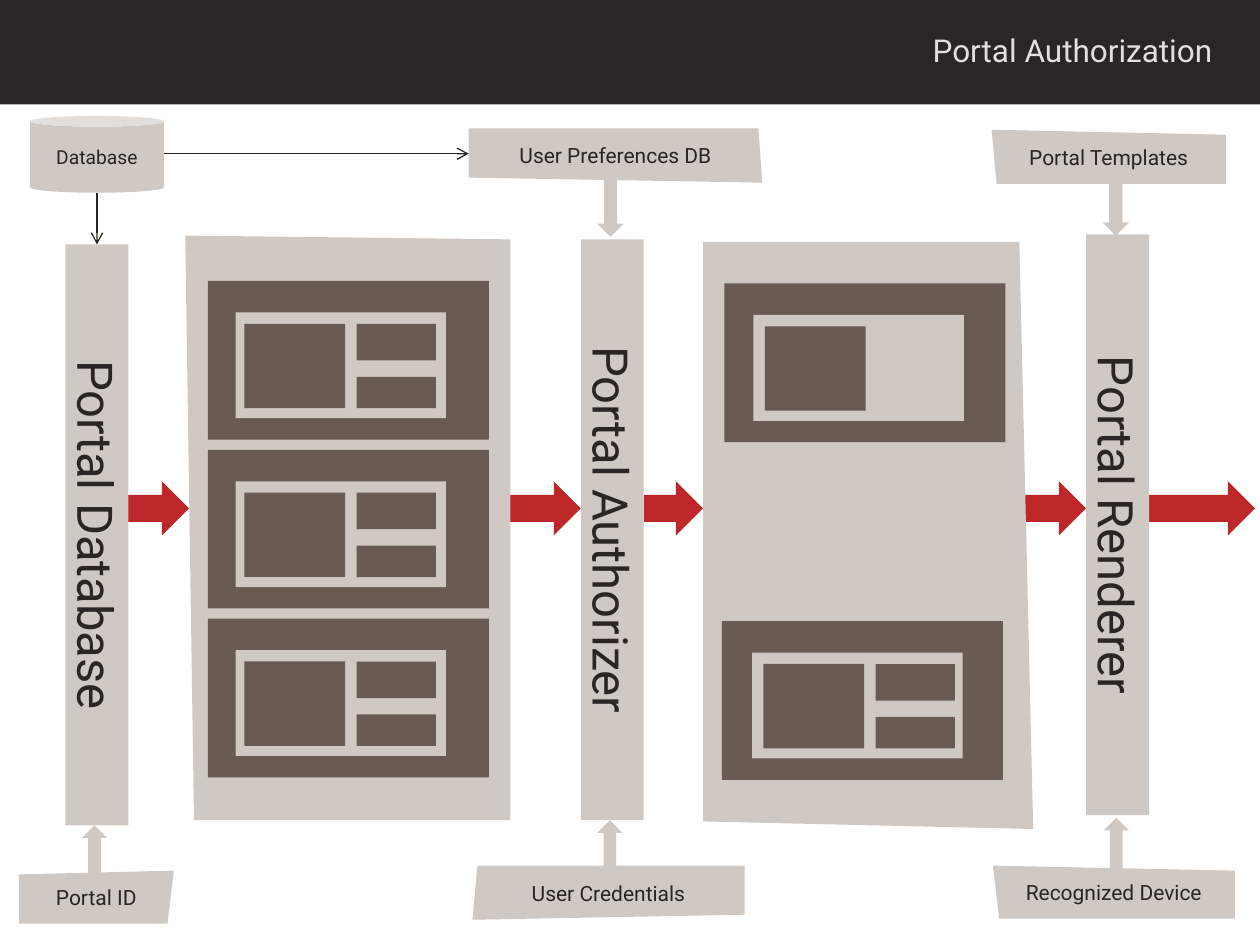
"""Build the Portal Authorization flow diagram slide."""
from lxml.etree import SubElement
from pptx import Presentation
from pptx.dml.color import RGBColor
from pptx.enum.shapes import MSO_CONNECTOR, MSO_SHAPE
from pptx.enum.text import MSO_ANCHOR, PP_ALIGN
from pptx.oxml.ns import qn
from pptx.util import Cm, Pt

FONT = "Roboto"
DARK, STONE, BROWN, RED = "2B2623", "CFC8C3", "675B53", "BD2727"
LINE, TITLE = "29251E", "E5DEDC"

STAGES = [
    ("Portal Authorizer", 4.61, 1.9),
    ("Portal Renderer", 8.62, 1.86),
    ("Portal Database", 0.52, 1.94),
]
STAGE_SIZE = (0.5, 4.61)
FLOW_ARROWS = [(0.97, 0.53), (9.09, 0.87), (4.03, 0.58), (5.11, 0.47), (8.05, 0.57)]
FLOW_TOP, FLOW_HEIGHT = 3.82, 0.43
INPUTS = [
    ("Portal ID", 0.14, [(0.15, 6.94), (1.38, 6.91), (1.33, 7.33), (0.15, 7.33)]),
    ("Recognized Device", 0, [(7.88, 6.87), (9.8, 6.91), (9.8, 7.29), (7.93, 7.29)]),
    ("Portal Templates", 0, [(7.87, 1.03), (9.73, 1.07), (9.73, 1.46), (7.91, 1.46)]),
    ("User Credentials", 0.14, [(3.79, 6.87), (5.91, 6.87), (5.91, 7.26), (3.75, 7.3)]),
    ("User Preferences DB", 0.14, [(3.72, 1.02), (6.02, 1.02), (6.05, 1.45), (3.72, 1.41)]),
]
UP_ARROWS = [(0.65, 6.55), (8.76, 6.49), (4.74, 6.51)]
DOWN_ARROWS = [(8.75, 1.42), (4.74, 1.43)]
DATABASE_LINKS = [((1.3, 1.22), (3.72, 1.22)), ((0.77, 1.53), (0.77, 1.94))]
AUTHORIZED_PANEL = [(5.58, 1.92), (8.09, 1.92), (8.2, 6.58), (5.58, 6.52)]
DATABASE_PANEL = [(1.47, 1.87), (4.05, 1.9), (4.05, 6.51), (1.54, 6.51)]
SIDE_TILES = [(0.89, 0, 0.63, 0.29), (0.89, 0.42, 0.63, 0.25)]
MAIN_TILE = (0, 0, 0.8, 0.67)


def length(inches):
    return Cm(inches * 2.54)


def color(value):
    return RGBColor.from_string(value)


def paint(shape, fill):
    shape.shadow.inherit = False
    shape.fill.solid()
    shape.fill.fore_color.rgb = color(fill)
    shape.line.fill.background()
    return shape


def add_block(slide, kind, left, top, width, height, fill):
    box = [length(value) for value in (left, top, width, height)]
    return paint(slide.shapes.add_shape(kind, *box), fill)


def add_outline(slide, points, fill):
    corners = [(length(x), length(y)) for x, y in points]
    builder = slide.shapes.build_freeform(*corners[0])
    builder.add_line_segments(corners[1:], close=True)
    return paint(builder.convert_to_shape(), fill)


def write(shape, text, size, font_color=DARK, align=PP_ALIGN.CENTER, side=0.14, edge=0.07):
    frame = shape.text_frame
    frame.text = text
    frame.word_wrap = True
    frame.vertical_anchor = MSO_ANCHOR.MIDDLE
    frame.margin_left = frame.margin_right = length(side)
    frame.margin_top = frame.margin_bottom = length(edge)
    paragraph = frame.paragraphs[0]
    paragraph.alignment = align
    font = paragraph.runs[0].font
    font.name, font.size = FONT, Pt(size)
    font.color.rgb = color(font_color)


def add_link(slide, start, end):
    ends = [length(value) for value in (*start, *end)]
    connector = slide.shapes.add_connector(MSO_CONNECTOR.STRAIGHT, *ends)
    connector.line.color.rgb = color(LINE)
    connector.line.width = Pt(0.75)
    SubElement(connector.line._get_or_add_ln(), qn("a:tailEnd"), type="arrow")
    SubElement(connector._element.spPr, qn("a:effectLst"))


def add_window(slide, left, top, frame_left, tile_left, tiles):
    add_block(slide, MSO_SHAPE.RECTANGLE, left, top, 2.23, 1.26, BROWN)
    add_block(slide, MSO_SHAPE.RECTANGLE, left + frame_left, top + 0.25, 1.67, 0.84, STONE)
    for x, y, width, height in tiles:
        add_block(slide, MSO_SHAPE.RECTANGLE, left + tile_left + x, top + 0.34 + y,
                  width, height, BROWN)


def add_header(slide):
    add_block(slide, MSO_SHAPE.RECTANGLE, 0, 0, 10, 0.83, DARK)
    title = slide.shapes.add_textbox(length(2.87), length(0.2), length(6.85), length(0.4))
    write(title, "Portal Authorization", 18, TITLE, PP_ALIGN.RIGHT, 0.1, 0.05)


def add_flow(slide):
    for left, width in FLOW_ARROWS:
        add_block(slide, MSO_SHAPE.RIGHT_ARROW, left, FLOW_TOP, width, FLOW_HEIGHT, RED)
    for name, left, top in STAGES:
        stage = add_block(slide, MSO_SHAPE.RECTANGLE, left, top, *STAGE_SIZE, STONE)
        write(stage, name, 28)
        stage.text_frame._txBody.bodyPr.set("vert", "vert")


def add_inputs(slide):
    for name, side, points in INPUTS:
        write(add_outline(slide, points, STONE), name, 12, side=side)
    for left, top in UP_ARROWS:
        add_block(slide, MSO_SHAPE.UP_ARROW, left, top, 0.2, 0.41, STONE)
    for left, top in DOWN_ARROWS:
        add_block(slide, MSO_SHAPE.DOWN_ARROW, left, top, 0.21, 0.45, STONE)
    database = add_block(slide, MSO_SHAPE.CAN, 0.24, 0.92, 1.06, 0.61, STONE)
    database.adjustments[0] = 0.14
    write(database, "Database", 11)
    for start, end in DATABASE_LINKS:
        add_link(slide, start, end)


def add_panels(slide):
    all_tiles = [*SIDE_TILES, MAIN_TILE]
    add_outline(slide, AUTHORIZED_PANEL, STONE)
    add_window(slide, 5.75, 2.25, 0.23, 0.32, [MAIN_TILE])
    add_window(slide, 5.73, 4.93, 0.24, 0.33, all_tiles)
    add_outline(slide, DATABASE_PANEL, STONE)
    for row in range(3):
        add_window(slide, 1.65, 2.23 + row * 1.34, 0.22, 0.29, all_tiles)


def main():
    presentation = Presentation()
    presentation.slide_width, presentation.slide_height = Cm(25.4), Cm(19.05)
    slide = presentation.slides.add_slide(presentation.slide_layouts[6])
    add_header(slide)
    add_flow(slide)
    add_inputs(slide)
    add_panels(slide)
    presentation.save("out.pptx")


if __name__ == "__main__":
    main()
